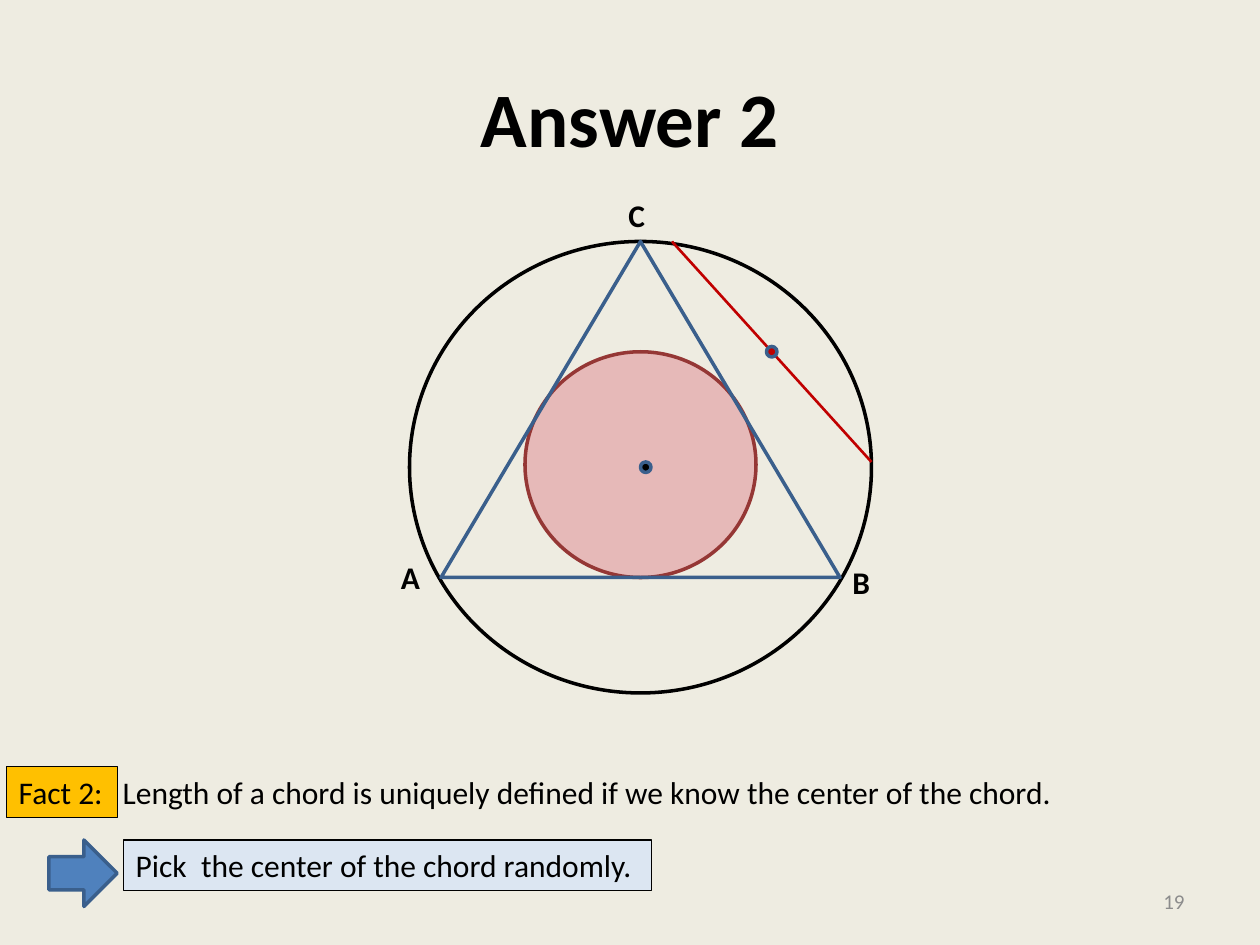
from dataclasses import dataclass
from typing import Optional

from lxml import etree
from pptx import Presentation
from pptx.dml import color
from pptx.enum import shapes, text
from pptx.oxml import ns
from pptx.util import Pt

FONT = "Calibri"
BLACK, RED, STEEL = "000000", "C00000", "3A5F8C"
OVAL = shapes.MSO_SHAPE.OVAL


@dataclass
class Figure:
    kind: shapes.MSO_SHAPE
    left: float
    top: float
    width: float
    height: float
    line: str
    fill: Optional[str] = None


@dataclass
class Label:
    words: str
    left: float
    top: float
    width: float
    bold: bool = False
    fill: Optional[str] = None


INNER_CIRCLE = Figure(OVAL, 300, 201, 132, 129, "953735", "E6B9B8")
DIAGRAM = [
    Figure(OVAL, 234, 138, 264, 258, BLACK),
    Figure(shapes.MSO_SHAPE.ISOSCELES_TRIANGLE, 252, 138, 228, 192, STEEL),
    Figure(OVAL, 366, 264, 6, 6, STEEL, BLACK),
]
CHORD = (384, 138, 498, 264)
CHORD_CENTER = Figure(OVAL, 438, 198, 6, 6, STEEL, RED)
ARROW = Figure(shapes.MSO_SHAPE.RIGHT_ARROW, 28, 480, 39, 38, STEEL, "4F81BD")
LABELS = [
    Label("A", 222, 315.5, 25, bold=True),
    Label("B", 480, 318, 24.5, bold=True),
    Label("C", 352, 108.5, 24.5, bold=True),
    Label("Pick  the center of the chord randomly.", 70.5, 480, 302, fill="DCE6F2"),
    Label("Length of a chord is uniquely defined if we know the center of the chord.",
          63, 438, 552),
    Label("Fact 2:", 3.6, 438, 63.4, fill="FFC000"),
]


def rgb(value: str) -> color.RGBColor:
    return color.RGBColor.from_string(value)


def paint(shape, fill: Optional[str], line: str, weight: float) -> None:
    if fill:
        shape.fill.solid()
        shape.fill.fore_color.rgb = rgb(fill)
    else:
        shape.fill.background()
    shape.line.color.rgb = rgb(line)
    shape.line.width = Pt(weight)


def draw_figure(page, figure: Figure) -> None:
    shape = page.shapes.add_shape(figure.kind, Pt(figure.left), Pt(figure.top),
                                  Pt(figure.width), Pt(figure.height))
    shape.shadow.inherit = False
    paint(shape, figure.fill, figure.line, 2)


def draw_line(page, x1: float, y1: float, x2: float, y2: float, line: str) -> None:
    connector = page.shapes.add_connector(shapes.MSO_CONNECTOR.STRAIGHT,
                                          Pt(x1), Pt(y1), Pt(x2), Pt(y2))
    connector.line.color.rgb = rgb(line)
    connector.line.width = Pt(1.5)
    etree.SubElement(connector.element.spPr, ns.qn("a:effectLst"))


def add_text(page, words: str, left: float, top: float, width: float, height: float, *,
             size: float = 18, ink: str = BLACK, bold: bool = False, wrap: bool = True,
             align=text.PP_ALIGN.LEFT, anchor=text.MSO_ANCHOR.MIDDLE):
    box = page.shapes.add_textbox(Pt(left), Pt(top), Pt(width), Pt(height))
    frame = box.text_frame
    frame.word_wrap = wrap
    frame.vertical_anchor = anchor
    if not wrap:
        frame.auto_size = text.MSO_AUTO_SIZE.SHAPE_TO_FIT_TEXT
    para = frame.paragraphs[0]
    para.alignment = align
    span = para.add_run()
    span.text = words
    span.font.name = FONT
    span.font.size = Pt(size)
    span.font.bold = bold
    span.font.color.rgb = rgb(ink)
    return box


def draw_label(page, label: Label) -> None:
    box = add_text(page, label.words, label.left, label.top, label.width, 29,
                   bold=label.bold, wrap=False, anchor=text.MSO_ANCHOR.TOP)
    if label.fill:
        paint(box, label.fill, BLACK, 0.75)


def main() -> None:
    deck = Presentation()
    deck.slide_width, deck.slide_height = Pt(720), Pt(540)
    page = deck.slides.add_slide(deck.slide_layouts[6])
    page.background.fill.solid()
    page.background.fill.fore_color.rgb = rgb("EEECE1")

    draw_figure(page, INNER_CIRCLE)
    add_text(page, "Answer 2", 36, 21.6, 648, 90, size=44, bold=True,
             align=text.PP_ALIGN.CENTER)
    add_text(page, "19", 516, 500.5, 168, 28.8, size=12, ink="8C8C8C",
             align=text.PP_ALIGN.RIGHT)
    for figure in DIAGRAM:
        draw_figure(page, figure)
    draw_line(page, *CHORD, RED)
    draw_figure(page, CHORD_CENTER)
    for label in LABELS:
        draw_label(page, label)
    draw_figure(page, ARROW)
    deck.save("out.pptx")


if __name__ == "__main__":
    main()
